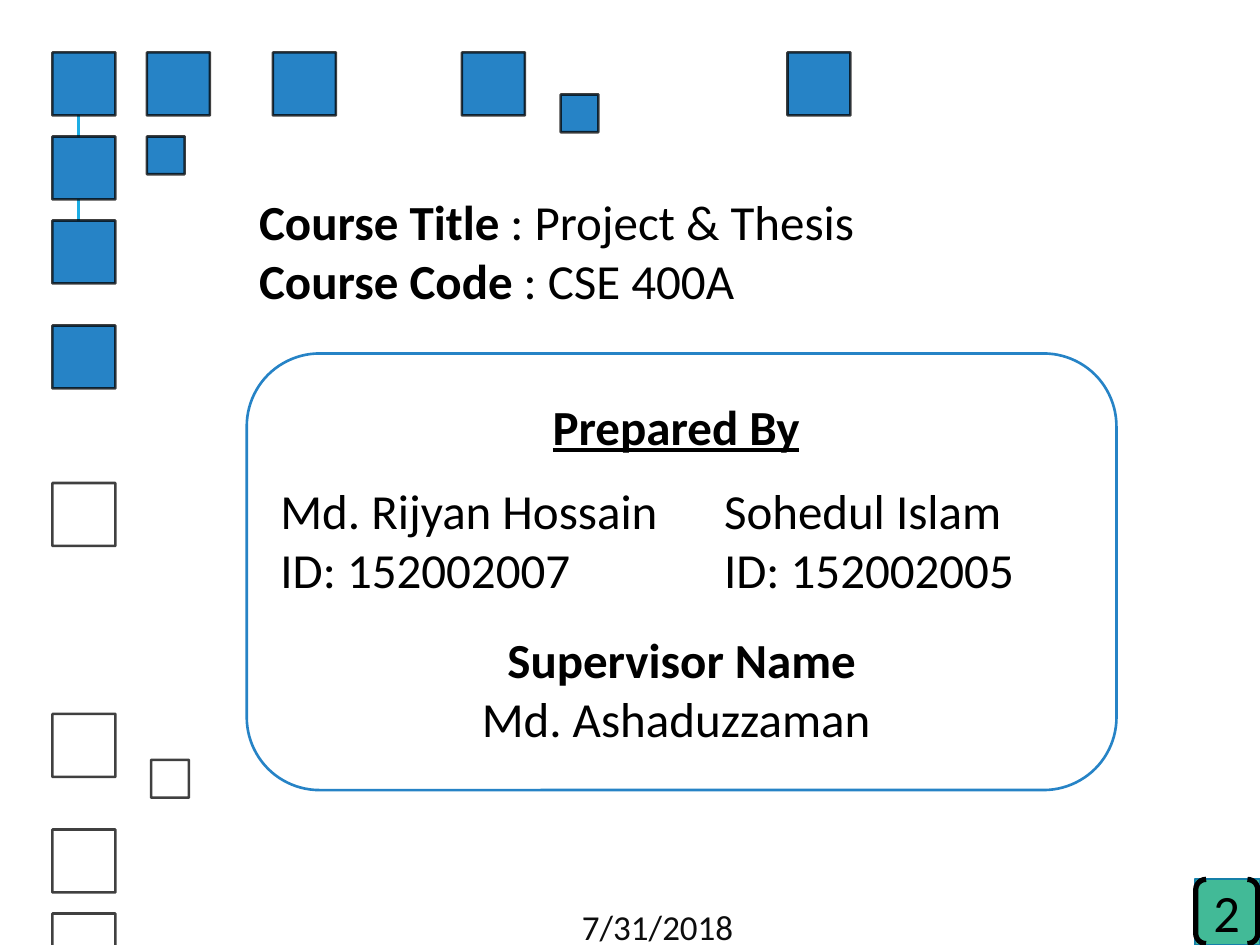
from dataclasses import dataclass
from typing import Optional

import pptx
import pptx.dml.color
import pptx.enum.shapes
import pptx.enum.text
import pptx.oxml.ns
import pptx.util
from lxml import etree

Pt = pptx.util.Pt
SHAPE = pptx.enum.shapes.MSO_SHAPE
ALIGN = pptx.enum.text.PP_ALIGN


@dataclass(frozen=True)
class Theme:
    font: str = "Calibri"
    black: str = "000000"
    white: str = "FFFFFF"
    blue: str = "2683C6"
    cyan: str = "1CADE4"
    teal: str = "1580A9"
    green: str = "42BA97"
    date_ink: str = "0D0D0D"
    body: int = 28
    number: int = 30
    date: int = 20


@dataclass(frozen=True)
class Box:
    left: float
    top: float
    width: float
    height: float

    def lengths(self) -> list:
        return [Pt(v) for v in (self.left, self.top, self.width, self.height)]


@dataclass(frozen=True)
class Run:
    text: str
    bold: bool = False
    underline: bool = False


@dataclass(frozen=True)
class Para:
    runs: tuple
    align: object = ALIGN.LEFT
    before: float = 0
    tab: Optional[float] = None


T = Theme()


def rgb(color: str):
    return pptx.dml.color.RGBColor.from_string(color)


def sub(parent, tag: str, **attrs):
    return etree.SubElement(parent, pptx.oxml.ns.qn(tag), **attrs)


def add_box(s, kind, box: Box, fill: Optional[str] = None, line: Optional[str] = None,
            weight: float = 1.5, alpha: Optional[int] = None):
    sp = s.shapes.add_shape(kind, *box.lengths())
    sp.shadow.inherit = False
    if fill:
        sp.fill.solid()
        sp.fill.fore_color.rgb = rgb(fill)
    else:
        sp.fill.background()
    if line:
        sp.line.color.rgb = rgb(line)
        sp.line.width = Pt(weight)
    else:
        sp.line.fill.background()
    if alpha:
        color = sp.line._get_or_add_ln().find(".//" + pptx.oxml.ns.qn("a:srgbClr"))
        sub(color, "a:alpha", val=str(alpha * 1000))
    return sp


def write(sp, paras: list, size: int = T.body, color: str = T.black) -> None:
    tf = sp.text_frame
    tf.word_wrap = True
    tf.vertical_anchor = pptx.enum.text.MSO_ANCHOR.MIDDLE
    for i, para in enumerate(paras):
        p = tf.paragraphs[0] if i == 0 else tf.add_paragraph()
        p.alignment = para.align
        p.space_before = Pt(para.before)
        if para.tab:
            tabs = sub(p._p.get_or_add_pPr(), "a:tabLst")
            sub(tabs, "a:tab", pos=str(Pt(para.tab)), algn="l")
        for run in para.runs:
            r = p.add_run()
            r.text = run.text
            style = {"name": T.font, "size": Pt(size), "bold": run.bold, "underline": run.underline}
            for key, value in style.items():
                setattr(r.font, key, value)
            r.font.color.rgb = rgb(color)


def add_squares(s, spots: list, size: float, fill: Optional[str]) -> None:
    for left, top in spots:
        add_box(s, SHAPE.RECTANGLE, Box(left, top, size, size), fill, T.black, alpha=74)


def main() -> None:
    prs = pptx.Presentation()
    prs.slide_width, prs.slide_height = Pt(720), Pt(540)
    s = prs.slides.add_slide(prs.slide_layouts[6])

    # Line behind the left column
    stem = s.shapes.add_connector(pptx.enum.shapes.MSO_CONNECTOR.STRAIGHT,
                                  Pt(44.75), Pt(137), Pt(44.75), Pt(65))
    stem.line.color.rgb = rgb(T.cyan)
    stem.line.width = Pt(1.5)
    sub(stem._element.spPr, "a:effectLst")

    # Decorative squares: top row and left column, then the small ones
    edge, large, small = 30, 36, 21.6
    top_row = [(x, edge) for x in (edge, 84, 156, 264, 450)]
    filled_column = [(edge, y) for y in (78, 126, 186)]
    hollow_column = [(edge, y) for y in (276, 408, 474, 522)]
    add_squares(s, top_row + filled_column, large, T.blue)
    add_squares(s, hollow_column, large, None)
    add_squares(s, [(84, 78), (320.4, 54)], small, T.blue)
    add_squares(s, [(86.4, 434.25)], small, None)

    # Slide number
    add_box(s, SHAPE.RECTANGLE, Box(683, 502.5, 37, 37.5), T.green, T.teal, 1.25)
    number = add_box(s, SHAPE.DOUBLE_BRACKET, Box(683.3, 502.5, 35.5, 36.7), None, T.black, 3)
    for side in ("left", "right", "top", "bottom"):
        setattr(number.text_frame, f"margin_{side}", 0)
    write(number, [Para((Run("2"),), ALIGN.CENTER)], T.number)

    # Course
    course = add_box(s, SHAPE.RECTANGLE, Box(141, 101.5, 462, 83), T.white)
    write(course, [
        Para((Run("Course Title ", bold=True), Run(": Project & Thesis"))),
        Para((Run("Course Code ", bold=True), Run(": CSE 400A"))),
    ])

    # Authors and supervisor
    people = add_box(s, SHAPE.ROUNDED_RECTANGLE, Box(141, 202, 497, 249.5), T.white, T.blue)
    second_column = 253.5
    write(people, [
        Para((Run("Prepared By", bold=True, underline=True), Run(" ", bold=True)), ALIGN.CENTER),
        Para((Run("Md. Rijyan Hossain\tSohedul Islam"),), before=14.5, tab=second_column),
        Para((Run("ID: 152002007\tID: 152002005"),), tab=second_column),
        Para((Run("Supervisor Name", bold=True),), ALIGN.CENTER, before=18),
        Para((Run("Md. Ashaduzzaman "),), ALIGN.CENTER),
    ])

    # Date
    date = s.shapes.add_textbox(*Box(325.5, 518.5, 127.5, 21.5).lengths())
    write(date, [Para((Run("7/31/2018"),))], T.date, T.date_ink)

    prs.save("out.pptx")


if __name__ == "__main__":
    main()
